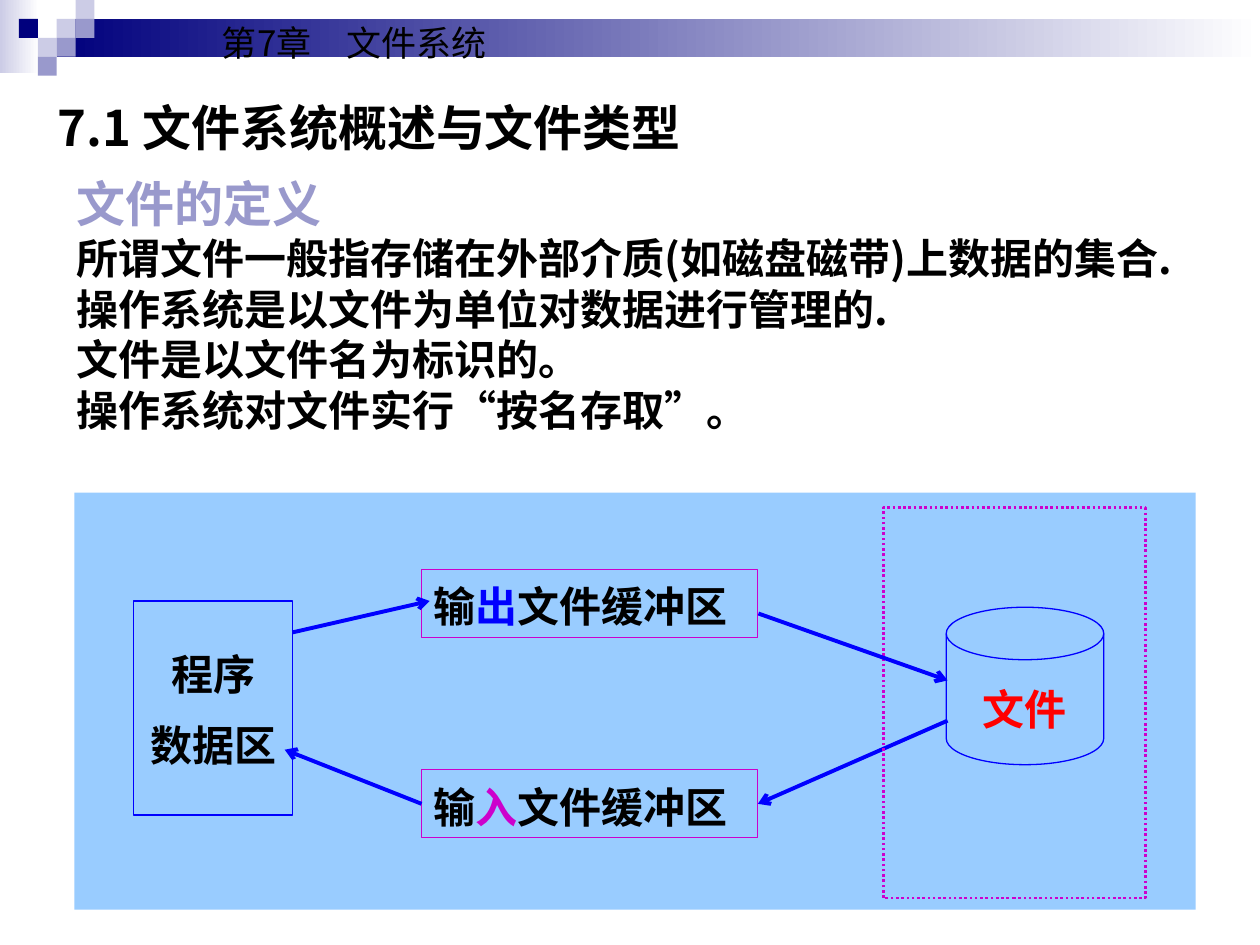
from lxml.etree import SubElement
from pptx import Presentation
from pptx.dml.color import RGBColor
from pptx.enum.dml import MSO_LINE
from pptx.enum.shapes import MSO_CONNECTOR, MSO_SHAPE
from pptx.enum.text import MSO_ANCHOR, PP_ALIGN
from pptx.oxml.ns import qn
from pptx.util import Pt

SANS = "Noto Sans CJK SC"
SERIF = "Times New Roman"
NAVY, LILAC, PALE = "00007D", "9999CC", "CCCCE6"
BLUE, MAGENTA, RED, BLACK, WHITE = "0000FF", "CC00CC", "FF0000", "000000", "FFFFFF"


def color(value):
    return RGBColor.from_string(value)


def add_text(frame, paragraphs, size=24, font=SANS, fill=BLACK, bold=True,
             align=PP_ALIGN.LEFT, anchor=MSO_ANCHOR.TOP, spacing=1.0, before=0, wrap=False):
    frame.word_wrap = wrap
    frame.vertical_anchor = anchor
    for index, runs in enumerate(paragraphs):
        paragraph = frame.add_paragraph() if index else frame.paragraphs[0]
        paragraph.alignment = align
        paragraph.line_spacing = spacing
        paragraph.space_before = Pt(before if index else 0)
        for text, style in runs:
            run = paragraph.add_run()
            run.text = text
            run.font.size = Pt(style.get("size", size))
            run.font.bold = bold
            run.font.name = font
            run.font.color.rgb = color(style.get("fill", fill))
            SubElement(run.font._element, qn("a:ea")).set("typeface", SANS)


def add_label(slide, box, paragraphs, **style):
    shape = slide.shapes.add_textbox(*map(Pt, box))
    add_text(shape.text_frame, paragraphs, **style)


def add_box(slide, box, kind=MSO_SHAPE.RECTANGLE, fill=None, fade=None, line=None,
            width=0.75, dash=None):
    shape = slide.shapes.add_shape(kind, *map(Pt, box))
    shape.shadow.inherit = False
    if fade:
        shape.fill.gradient()
        shape.fill.gradient_angle = 180
        for stop, value, position in zip(shape.fill.gradient_stops, fade, (0, 1)):
            stop.color.rgb = color(value)
            stop.position = position
    elif fill:
        shape.fill.solid()
        shape.fill.fore_color.rgb = color(fill)
    else:
        shape.fill.background()
    if line:
        shape.line.color.rgb = color(line)
        shape.line.width = Pt(width)
        if dash:
            shape.line.dash_style = dash
    else:
        shape.line.fill.background()
    return shape


def add_arrow(slide, start, end):
    arrow = slide.shapes.add_connector(MSO_CONNECTOR.STRAIGHT, *map(Pt, (*start, *end)))
    arrow.line.color.rgb = color(BLUE)
    arrow.line.width = Pt(2.25)
    SubElement(arrow.line._get_or_add_ln(), qn("a:tailEnd")).set("type", "arrow")
    SubElement(arrow._element.spPr, qn("a:effectLst"))
    return arrow


def add_header(slide, left, top, width):
    unit = 10.8
    add_box(slide, (left, top, 22.3, 41.8), fade=(WHITE, PALE))
    add_box(slide, (left + 3 * unit, top + unit, width - 3 * unit, 2 * unit), fade=(WHITE, NAVY))
    squares = [(3, 1, PALE), (4, 0, PALE), (4, 1, LILAC), (2, 2, PALE),
               (1, 1, NAVY), (3, 2, LILAC), (2, 3, LILAC)]
    for column, row, fill in squares:
        add_box(slide, (left + column * unit, top + row * unit, unit, unit), fill=fill)
    add_label(slide, (left + 119.8, top + 8.6, 175.7, 31.7), [[("第7章　文件系统", {})]],
              size=20, bold=False)


def add_definition(slide, left, top, width):
    add_label(slide, (left, top, 382.3, 41), [[("7.1 文件系统概述与文件类型", {})]],
              size=28, anchor=MSO_ANCHOR.MIDDLE)
    lines = ["所谓文件一般指存储在外部介质(如磁盘磁带)上数据的集合.",
             "操作系统是以文件为单位对数据进行管理的.",
             "文件是以文件名为标识的。",
             "操作系统对文件实行“按名存取”。"]
    heading = [("文件的定义", {"size": 28, "fill": LILAC})]
    add_label(slide, (left + 10.8, top + 48.2, width - 10.8, 147.6),
              [heading] + [[(line, {})] for line in lines], anchor=MSO_ANCHOR.MIDDLE)


def add_diagram(slide, left, top, width, height):
    def place(x, y, *size):
        return (left + x, top + y, *size)

    add_box(slide, (left, top, width, height), fill="99CCFF")
    disk = add_box(slide, place(498.2, 65.5, 90, 90), MSO_SHAPE.FLOWCHART_MAGNETIC_DISK, line=BLUE)
    add_text(disk.text_frame, [[("文件", {})]], font=SERIF, fill=RED, align=PP_ALIGN.CENTER,
             anchor=MSO_ANCHOR.MIDDLE, spacing=1.4, wrap=True)
    add_label(slide, place(34.2, 88.6, 90.7, 74.2), [[("程序", {})], [("数据区", {})]],
              font=SERIF, align=PP_ALIGN.CENTER, spacing=0.9, before=15, wrap=True)
    add_box(slide, place(33.8, 61.9, 90.7, 122.4), line=BLUE)

    for y, word, fill in ((43.9, "出", BLUE), (158.4, "入", MAGENTA)):
        buffer = add_box(slide, place(198.4, y, 192.2, 38.9), line=MAGENTA)
        add_text(buffer.text_frame, [[("输", {}), (word, {"fill": fill}), ("文件缓冲区", {})]],
                 font=SERIF, spacing=1.1, wrap=True)
    input_buffer = buffer

    add_arrow(slide, place(124.6, 79.9), place(203, 61.9))
    to_program = add_arrow(slide, place(198.4, 177.8), place(120.2, 146.9))
    to_program.begin_connect(input_buffer, 1)
    from_disk = add_arrow(slide, place(499, 130.3), place(390.6, 177.8))
    from_disk.end_connect(input_buffer, 3)
    add_box(slide, place(462.2, 8.6, 149.8, 223.2), line=MAGENTA, width=1.5, dash=MSO_LINE.ROUND_DOT)
    add_arrow(slide, place(390.9, 69.1), place(499, 107.3))


def main():
    presentation = Presentation()
    presentation.slide_width, presentation.slide_height = Pt(720), Pt(540)
    slide = presentation.slides.add_slide(presentation.slide_layouts[6])
    add_header(slide, 0, 0, 720)
    add_definition(slide, 25.9, 51.8, 688)
    add_diagram(slide, 42.5, 281.5, 640.8, 238.3)
    presentation.save("out.pptx")


if __name__ == "__main__":
    main()
